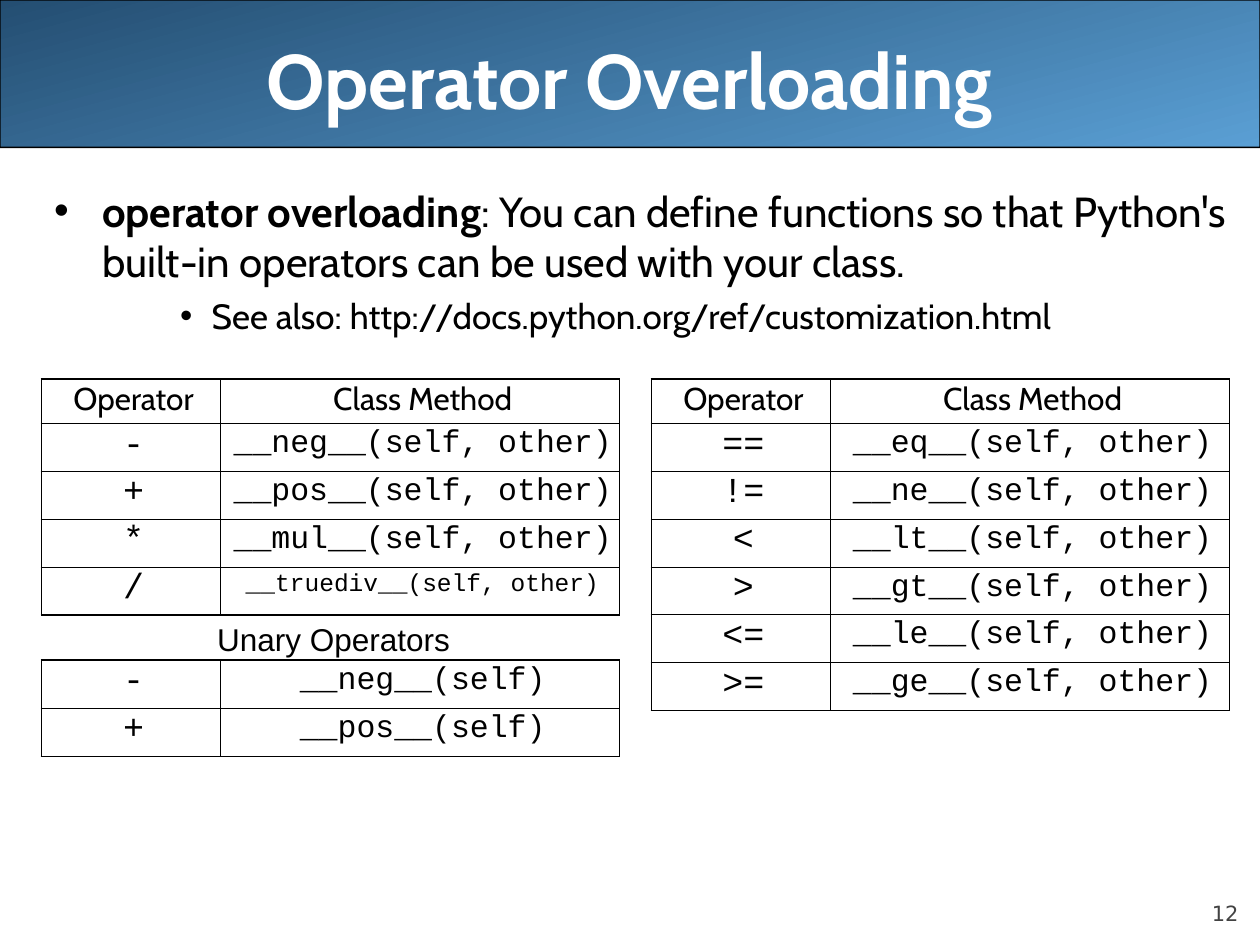
from lxml import etree
from pptx import Presentation
from pptx.dml.color import RGBColor
from pptx.enum.shapes import MSO_SHAPE
from pptx.enum.text import MSO_ANCHOR, MSO_AUTO_SIZE, PP_ALIGN
from pptx.oxml.ns import qn
from pptx.util import Inches, Pt

ROUND = MSO_SHAPE.ROUNDED_RECTANGLE
MIDDLE, BOTTOM = MSO_ANCHOR.MIDDLE, MSO_ANCHOR.BOTTOM
CENTER, RIGHT = PP_ALIGN.CENTER, PP_ALIGN.RIGHT
NO_FIT, GROW = MSO_AUTO_SIZE.NONE, MSO_AUTO_SIZE.SHAPE_TO_FIT_TEXT

THIN, THICK = 0.45, 1.08
HEAD_H, ROW_H = 0.35, 0.38
COLS = (1.42, 3.17)
LEFT_X, RIGHT_X, TOP = 0.33, 5.17, 3.01

HEAD = ("Operator", "Class Method")
BINARY = [("-", "__neg__(self, other)"), ("+", "__pos__(self, other)"),
          ("*", "__mul__(self, other)"), ("/", "__truediv__(self, other)")]
UNARY = [("-", "__neg__(self)"), ("+", "__pos__(self)")]
COMPARE = [("==", "__eq__(self, other)"), ("!=", "__ne__(self, other)"),
           ("<", "__lt__(self, other)"), (">", "__gt__(self, other)"),
           ("<=", "__le__(self, other)"), (">=", "__ge__(self, other)")]


def color(text):
    return RGBColor.from_string(text)


def style(par, size, face, ink="000000", bold=False):
    for run in par.runs:
        font = run.font
        font.size, font.name, font.bold = Pt(size), face, bold
        font.color.rgb = color(ink)


def indent(par, left, first=0):
    props = par._p.get_or_add_pPr()
    props.set("marL", str(Inches(left)))
    props.set("indent", str(Inches(first)))


def place(shape, box):
    shape.left, shape.top, shape.width, shape.height = map(Inches, box)


def add_banner(slide, box):
    bar = slide.shapes.add_shape(ROUND, *map(Inches, box))
    bar.adjustments[0] = 0.001
    bar.shadow.inherit = False
    bar.fill.gradient()
    bar.fill.gradient_angle = 285
    for stop, (spot, ink) in zip(bar.fill.gradient_stops,
                                 ((0, "244E72"), (1, "5A9FD4"))):
        stop.position, stop.color.rgb = spot, color(ink)
    bar.line.color.rgb = color("000000")
    bar.line.width = Pt(0.75)
    slide.shapes._spTree.insert(2, bar._element)  # behind the title


def add_title(slide, box):
    title = slide.shapes.title
    place(title, box)
    frame = title.text_frame
    frame.text = "Operator Overloading"
    frame.auto_size, frame.vertical_anchor = NO_FIT, MIDDLE
    par = frame.paragraphs[0]
    par.alignment = CENTER
    style(par, 44, "Cabin", "FFFFFF", True)


def add_body(slide, box):
    body = slide.placeholders[1]
    place(body, box)
    frame = body.text_frame
    frame.auto_size = NO_FIT
    main, more = frame.paragraphs[0], frame.add_paragraph()
    for text in ("operator overloading",
                 ": You can define functions so that Python's "
                 "built-in operators can be used with your class."):
        main.add_run().text = text
    style(main, 24, "Cabin")
    main.runs[0].font.bold = True
    main.space_before = Pt(6)
    indent(main, 0.38, -0.38)

    more.text = "See also: http://docs.python.org/ref/customization.html"
    more.level = 2
    more.space_before = Pt(5)
    style(more, 20, "Cabin")
    indent(more, 1.25, -0.25)


def add_label(slide, box, text, size, face, ink="000000"):
    label = slide.shapes.add_textbox(*map(Inches, box))
    frame = label.text_frame
    frame.text = text
    par = frame.paragraphs[0]
    par.alignment = RIGHT
    style(par, size, face, ink)
    return frame


def add_number(slide, box):
    frame = add_label(slide, box, "12", 12, "DejaVu Sans", "424242")
    frame.word_wrap, frame.vertical_anchor = True, BOTTOM
    frame.margin_left = frame.margin_right = 0
    frame.margin_top = frame.margin_bottom = 0


def add_caption(slide, box):
    frame = add_label(slide, box, "Unary Operators", 18, "Arial")
    frame.word_wrap, frame.auto_size = False, GROW


def set_border(cell, side, width):
    props = cell._tc.get_or_add_tcPr()
    line = etree.SubElement(props, qn("a:ln" + side), w=str(Pt(width)))
    fill = etree.SubElement(line, qn("a:solidFill"))
    etree.SubElement(fill, qn("a:srgbClr"), val="000000")


def fill_cell(cell, text, size, face):
    cell.text = text
    cell.margin_left = cell.margin_right = Inches(0.06)
    cell.margin_top = cell.margin_bottom = Inches(0.05)
    par = cell.text_frame.paragraphs[0]
    par.alignment, par.line_spacing = CENTER, 0.8
    indent(par, 0.04)
    style(par, size, face)


def add_grid(slide, left, top, rows, head=True, base=THIN):
    """Draw a two-column table; base is the width of its bottom edge."""
    lines = [HEAD] * head + rows
    heights = [HEAD_H] * head + [ROW_H] * len(rows)
    box = (left, top, sum(COLS), sum(heights))
    table = slide.shapes.add_table(len(lines), 2, *map(Inches, box)).table
    table.first_row = table.horz_banding = False
    for col, width in zip(table.columns, COLS):
        col.width = Inches(width)
    last = len(lines) - 1
    for r, line in enumerate(lines):
        table.rows[r].height = Inches(heights[r])
        for c, text in enumerate(line):
            cell = table.cell(r, c)
            if head and r == 0:
                fill_cell(cell, text, 18, "Cabin")
            else:
                size = 20 if c == 0 else 14 if len(text) > 20 else 18
                fill_cell(cell, text, size, "Courier New")
            set_border(cell, "L", THIN if c else THICK)
            set_border(cell, "R", THIN)
            set_border(cell, "T", THIN if r else THICK)
            set_border(cell, "B", base if r == last else THIN)
            cell.fill.background()


def main():
    deck = Presentation()
    deck.slide_width, deck.slide_height = Inches(10), Inches(7.5)
    slide = deck.slides.add_slide(deck.slide_layouts[1])
    add_banner(slide, (0, 0, 10, 1.17))
    add_title(slide, (0.5, 0, 9, 1.25))
    add_body(slide, (0.33, 1.42, 9.5, 5.42))
    add_grid(slide, LEFT_X, TOP, BINARY, base=THICK)
    add_caption(slide, (1.62, 4.87, 2.05, 0.4))
    add_grid(slide, LEFT_X, 5.24, UNARY, head=False)
    add_grid(slide, RIGHT_X, TOP, COMPARE)
    add_number(slide, (9, 6.95, 0.83, 0.4))
    deck.save("out.pptx")


if __name__ == "__main__":
    main()
